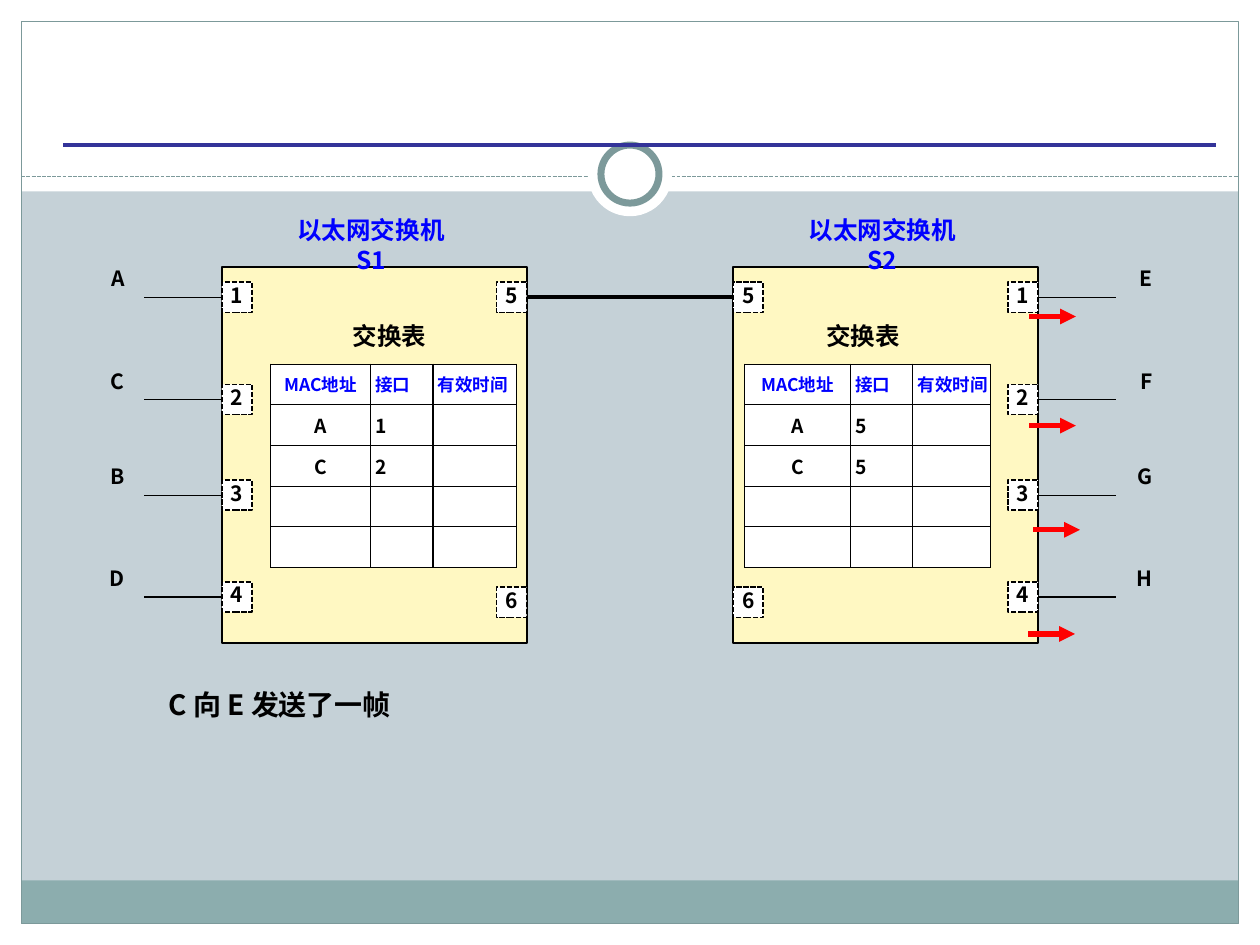
import pptx
import pptx.util
import pptx.dml.color
import pptx.enum.dml
import pptx.enum.shapes
import pptx.enum.text
import pptx.oxml
import pptx.oxml.ns

Cm = pptx.util.Cm
Pt = pptx.util.Pt
RGBColor = pptx.dml.color.RGBColor
MSO_SHAPE = pptx.enum.shapes.MSO_SHAPE
PP_ALIGN = pptx.enum.text.PP_ALIGN
ANCHOR = pptx.enum.text.MSO_ANCHOR
DASH = pptx.enum.dml.MSO_LINE.SQUARE_DOT

FONT = "Noto Sans CJK SC"
BLACK = RGBColor(0x00, 0x00, 0x00)
WHITE = RGBColor(0xFF, 0xFF, 0xFF)
BLUE = RGBColor(0x00, 0x00, 0xFF)
NAVY = RGBColor(0x33, 0x33, 0x99)
RED = RGBColor(0xFF, 0x00, 0x00)
CREAM = RGBColor(0xFF, 0xF8, 0xC2)
MIST = RGBColor(0xC5, 0xD1, 0xD7)
TEAL = RGBColor(0x8C, 0xAD, 0xAE)
SLATE = RGBColor(0x7C, 0x99, 0x9A)

SLIDE_W, SLIDE_H, MARGIN = 25.4, 19.05, 0.43
SWITCH_W, SWITCH_H, SWITCH_TOP = 6.15, 7.59, 5.38
PORT = 0.61
HOST_PORT_TOPS = [5.69, 7.75, 9.68, 11.73]
TRUNK_PORT_TOPS = [5.69, 11.84]
TABLE_TOP, ROW_H, ROWS = 7.34, 0.82, 5
TABLE_HEADER = ["MAC地址", "接口", "有效时间"]


def add_xml(parent, tag, body="", attributes=""):
    namespaces = pptx.oxml.ns.nsdecls("a")
    parent.append(pptx.oxml.parse_xml(
        f"<a:{tag} {namespaces} {attributes}>{body}</a:{tag}>"))


def style_paragraph(paragraph, size, color=BLACK, align=PP_ALIGN.LEFT):
    paragraph.alignment = align
    font = paragraph.font
    font.name, font.size, font.bold = FONT, Pt(size), True
    font.color.rgb = color
    add_xml(font._element, "ea", attributes=f'typeface="{FONT}"')


def clear_margins(frame):
    frame.margin_left = frame.margin_right = 0
    frame.margin_top = frame.margin_bottom = 0


def add_block(slide, left, top, width, height, fill=None, line=None,
              weight=1, dash=None, kind=MSO_SHAPE.RECTANGLE):
    block = slide.shapes.add_shape(kind, Cm(left), Cm(top), Cm(width), Cm(height))
    block.shadow.inherit = False
    if fill is None:
        block.fill.background()
    else:
        block.fill.solid()
        block.fill.fore_color.rgb = fill
    if line is None:
        block.line.fill.background()
    else:
        block.line.color.rgb = line
        block.line.width = Pt(weight)
        if dash:
            block.line.dash_style = dash
    return block


def add_label(slide, left, top, width, height, text, size, color=BLACK,
              align=PP_ALIGN.LEFT):
    label = slide.shapes.add_textbox(Cm(left), Cm(top), Cm(width), Cm(height))
    frame = label.text_frame
    frame.word_wrap = True
    clear_margins(frame)
    frame.text = text
    style_paragraph(frame.paragraphs[0], size, color, align)
    return frame.paragraphs[0]


def add_line(slide, x1, y1, x2, y2, color=BLACK, weight=0.75, dash=None,
             arrow=False):
    line = slide.shapes.add_connector(
        pptx.enum.shapes.MSO_CONNECTOR.STRAIGHT, Cm(x1), Cm(y1), Cm(x2), Cm(y2))
    line.line.color.rgb = color
    line.line.width = Pt(weight)
    if dash:
        line.line.dash_style = dash
    if arrow:
        add_xml(line.line._get_or_add_ln(), "tailEnd", attributes='type="triangle"')
    add_xml(line._element.spPr, "effectLst")
    return line


def add_port(slide, left, top, number):
    port = add_block(slide, left, top, PORT, PORT, WHITE, BLACK, 1, DASH)
    frame = port.text_frame
    clear_margins(frame)
    frame.vertical_anchor = ANCHOR.TOP
    frame.text = str(number)
    style_paragraph(frame.paragraphs[0], 12, align=PP_ALIGN.CENTER)
    return port


def add_switch_table(slide, left, widths, entries):
    table = slide.shapes.add_table(
        ROWS, len(widths), Cm(left), Cm(TABLE_TOP),
        Cm(sum(widths)), Cm(ROW_H * ROWS)).table
    table.first_row = table.horz_banding = False
    for column, width in zip(table.columns, widths):
        column.width = Cm(width)
    contents = [TABLE_HEADER] + entries
    border = '<a:solidFill><a:srgbClr val="000000"/></a:solidFill>'
    for r, row in enumerate(table.rows):
        row.height = Cm(ROW_H)
        values = contents[r] if r < len(contents) else []
        for c, cell in enumerate(row.cells):
            clear_margins(cell)
            cell.margin_left = Cm(0.1) if c else 0
            cell.vertical_anchor = ANCHOR.MIDDLE
            cell.text = values[c] if c < len(values) else ""
            style_paragraph(cell.text_frame.paragraphs[0], 11 if r else 10,
                            BLACK if r else BLUE,
                            PP_ALIGN.LEFT if c else PP_ALIGN.CENTER)
            for side in ("lnL", "lnR", "lnT", "lnB"):
                add_xml(cell._tc.get_or_add_tcPr(), side, border, 'w="9525"')
            cell.fill.solid()
            cell.fill.fore_color.rgb = WHITE


def add_switch(slide, name, left, hosts, hosts_on_left, table_left, widths, entries):
    """Draw a switch with its hosts; return the port used by the trunk."""
    add_block(slide, left, SWITCH_TOP, SWITCH_W, SWITCH_H, CREAM, BLACK)
    add_label(slide, left + 1.36, 4.34, 3.3, 1.2, f"以太网交换机 {name}", 14,
              BLUE, PP_ALIGN.CENTER)
    add_label(slide, table_left + 1.65, 6.48, 1.7, 0.6, "交换表", 14)
    add_switch_table(slide, table_left, widths, entries)

    # Ports with the hosts attached to them
    left_port, right_port = left, left + SWITCH_W - PORT
    host_port, trunk_port = ((left_port, right_port) if hosts_on_left
                             else (right_port, left_port))
    line_end, label_left, side = (2.9, 1.67, 1) if hosts_on_left else (22.5, 22.4, 3)
    for number, (host, top) in enumerate(zip(hosts, HOST_PORT_TOPS), 1):
        port = add_port(slide, host_port, top, number)
        middle = top + PORT / 2
        add_line(slide, host_port, middle, line_end, middle).begin_connect(port, side)
        add_label(slide, label_left, top - 0.33, 0.84, 0.52, host, 12,
                  align=PP_ALIGN.RIGHT)

    # Ports towards the other switch
    trunk_ports = [add_port(slide, trunk_port, top, number)
                   for number, top in enumerate(TRUNK_PORT_TOPS, 5)]
    return trunk_ports[0]


def add_frame(slide):
    slide.background.fill.solid()
    slide.background.fill.fore_color.rgb = MIST
    inner_w, inner_h = SLIDE_W - 2 * MARGIN, SLIDE_H - 2 * MARGIN
    for left, top, width, height in [
            (0, SLIDE_H - MARGIN, SLIDE_W, MARGIN), (0, 0, SLIDE_W, 3.86),
            (0, 0, MARGIN, SLIDE_H), (SLIDE_W - MARGIN, 0, MARGIN, SLIDE_H)]:
        add_block(slide, left, top, width, height, WHITE)
    add_block(slide, MARGIN, 17.75, inner_w, 0.87, TEAL)
    add_block(slide, MARGIN, MARGIN, inner_w, inner_h, line=SLATE, weight=0.75)
    add_line(slide, MARGIN, 3.56, SLIDE_W - MARGIN, 3.56, SLATE, dash=DASH)
    for diameter, ring in [(1.7, None), (1.17, SLATE)]:
        add_block(slide, (SLIDE_W - diameter) / 2, 3.51 - diameter / 2, diameter,
                  diameter, WHITE, ring, 4, kind=MSO_SHAPE.OVAL)
    add_line(slide, 1.27, 2.92, 24.51, 2.92, NAVY, 2.25)


def main():
    presentation = pptx.Presentation()
    presentation.slide_width, presentation.slide_height = Cm(SLIDE_W), Cm(SLIDE_H)
    slide = presentation.slides.add_slide(presentation.slide_layouts[6])
    add_frame(slide)

    # The two switches and the trunk between them
    trunk_start = add_switch(slide, "S1", 4.47, "ACBD", True, 5.46,
                             [2.01, 1.26, 1.68], [["A", "1"], ["C", "2"]])
    trunk_end = add_switch(slide, "S2", 14.78, "EFGH", False, 15.01,
                           [2.13, 1.26, 1.56], [["A", "5"], ["C", "5"]])
    trunk = add_line(slide, 10.62, 6, 14.78, 6, weight=2.25)
    trunk.begin_connect(trunk_start, 3)
    trunk.end_connect(trunk_end, 1)

    # Frames flooded out of S2
    for x, y in [(20.75, 6.38), (20.75, 8.58), (20.83, 10.68), (20.73, 12.78)]:
        add_line(slide, x, y, x + 0.94, y, RED, 3, arrow=True)

    message = add_label(slide, 3.4, 13.77, 19.05, 0.8, "C 向 E 发送了一帧", 16)
    message.line_spacing = Pt(22)
    presentation.save("out.pptx")


if __name__ == "__main__":
    main()
